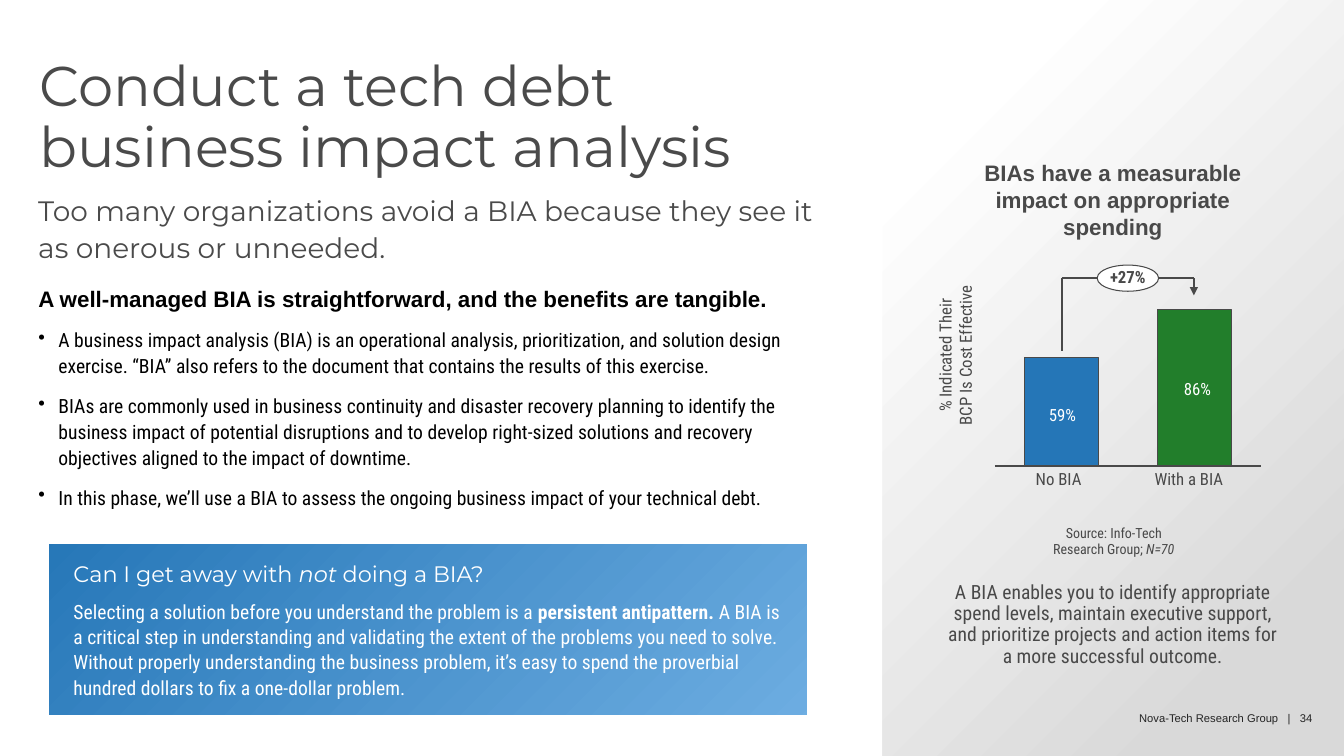
from dataclasses import dataclass

from lxml import etree
from pptx import Presentation
from pptx.chart.data import CategoryChartData
from pptx.dml.color import RGBColor
from pptx.enum import chart as ch, shapes, text
from pptx.oxml import parse_xml
from pptx.oxml.ns import nsdecls, qn
from pptx.util import Inches, Pt


@dataclass(frozen=True)
class Theme:
    heading: str = "Montserrat"
    body: str = "Roboto Condensed"
    strong: str = "Arial"
    chart: str = "Calibri"
    title_grey: str = "4A4A4A"
    grey: str = "494949"
    footer: str = "242424"
    black: str = "000000"
    white: str = "FFFFFF"
    panel_grey: str = "D9D9D9"
    blue: str = "2576B7"
    light_blue: str = "6EAEE2"
    green: str = "227E2B"
    title_size: int = 40
    subtitle_size: int = 20
    lead_size: int = 16
    body_size: int = 14
    label_size: int = 12
    source_size: int = 10
    footer_size: int = 8


T = Theme()
CENTER = text.PP_ALIGN.CENTER
MIDDLE = text.MSO_ANCHOR.MIDDLE
TEXT_INSETS = (0.1, 0.05, 0.1, 0.05)
NO_INSETS = (0, 0, 0, 0)

BULLETS = [
    "A business impact analysis (BIA) is an operational analysis, prioritization, and solution design "
    "exercise. “BIA” also refers to the document that contains the results of this exercise.",
    "BIAs are commonly used in business continuity and disaster recovery planning to identify the "
    "business impact of potential disruptions and to develop right-sized solutions and recovery "
    "objectives aligned to the impact of downtime.",
    "In this phase, we’ll use a BIA to assess the ongoing business impact of your technical debt.",
]


def rgb(color):
    return RGBColor.from_string(color)


def inches(*values):
    return [Inches(v) for v in values]


def set_frame(tf, insets, anchor=text.MSO_ANCHOR.TOP, wrap=True):
    tf.margin_left, tf.margin_top, tf.margin_right, tf.margin_bottom = inches(*insets)
    tf.auto_size = text.MSO_AUTO_SIZE.NONE
    tf.vertical_anchor = anchor
    tf.word_wrap = wrap


def format_paragraph(p, font, size, color, bold=False, align=text.PP_ALIGN.LEFT, spacing=None, before=0):
    p.alignment = align
    p.space_before = Pt(before)
    if spacing:
        p.line_spacing = spacing
    for r in p.runs:
        r.font.name, r.font.size, r.font.bold = font, Pt(size), bold
        r.font.color.rgb = rgb(color)


def add_runs(p, *pieces):
    runs = []
    for piece in pieces:
        r = p.add_run()
        r.text = piece
        runs.append(r)
    return runs


def add_bullet(p):
    pPr = p._p.get_or_add_pPr()
    pPr.set("marL", str(Inches(0.2)))
    pPr.set("indent", str(-Inches(0.2)))
    etree.SubElement(pPr, qn("a:buChar")).set("char", "•")


def add_text(s, box, content, font, size, color, insets=TEXT_INSETS,
             anchor=text.MSO_ANCHOR.TOP, wrap=True, **style):
    tf = s.shapes.add_textbox(*inches(*box)).text_frame
    set_frame(tf, insets, anchor, wrap)
    tf.text = content
    format_paragraph(tf.paragraphs[0], font, size, color, **style)
    return tf


def add_shape(s, kind, box):
    sp = s.shapes.add_shape(kind, *inches(*box))
    sp.shadow.inherit = False
    return sp


def fill_diagonal(sp, *stops):
    """Fill from top left to bottom right with two (position, colour) stops."""
    sp.fill.gradient()
    sp.fill.gradient_angle = 315
    for stop, (position, color) in zip(sp.fill.gradient_stops, stops):
        stop.position = position
        stop.color.rgb = rgb(color)


def set_line(line, color, width):
    line.color.rgb = rgb(color)
    line.width = Pt(width)


def add_line(s, start, end, arrow=False):
    line = s.shapes.add_connector(shapes.MSO_CONNECTOR.STRAIGHT, *inches(*start, *end))
    set_line(line.line, T.grey, 1)
    if arrow:
        etree.SubElement(line.line._get_or_add_ln(), qn("a:tailEnd")).set("type", "triangle")
    etree.SubElement(line._element.spPr, qn("a:effectLst"))


def add_title(s):
    title = s.shapes.title
    title.left, title.top, title.width, title.height = inches(0.39, 0.58, 8.11, 1.24)
    title.text_frame.text = "Conduct a tech debt business impact analysis"
    set_frame(title.text_frame, NO_INSETS)
    format_paragraph(title.text_frame.paragraphs[0], T.heading, T.title_size, T.title_grey, spacing=0.9)


def add_body(s):
    add_text(s, (0.38, 1.89, 7.73, 0.85),
             "Too many organizations avoid a BIA because they see it as onerous or unneeded.",
             T.heading, T.subtitle_size, T.title_grey, NO_INSETS, spacing=1.1)
    tf = add_text(s, (0.38, 2.8, 7.59, 2.39),
                  "A well-managed BIA is straightforward, and the benefits are tangible.",
                  T.strong, T.lead_size, T.black, NO_INSETS, bold=True, spacing=1.1)
    for bullet in BULLETS:
        p = tf.add_paragraph()
        p.text = bullet
        add_bullet(p)
        format_paragraph(p, T.body, T.body_size, T.black, spacing=1.1, before=10)


def add_callout(s):
    sp = add_shape(s, shapes.MSO_SHAPE.RECTANGLE, (0.38, 5.29, 7.73, 1.91))
    fill_diagonal(sp, (0, T.blue), (1, T.light_blue))
    set_line(sp.line, T.white, 14.75)
    tf = sp.text_frame
    set_frame(tf, (0.35,) * 4, MIDDLE)
    question = tf.paragraphs[0]
    runs = add_runs(question, "Can I get away with ", "not", " doing a BIA?")
    format_paragraph(question, T.heading, T.lead_size, T.white)
    runs[1].font.italic = True
    answer = tf.add_paragraph()
    runs = add_runs(
        answer, "Selecting a solution before you understand the problem is a ", "persistent antipattern.",
        " A BIA is a critical step in understanding and validating the extent of the problems you need to "
        "solve. Without properly understanding the business problem, it’s easy to spend the proverbial "
        "hundred dollars to fix a one-dollar problem.")
    format_paragraph(answer, T.body, T.body_size, T.white, spacing=Pt(18), before=8)
    runs[1].font.bold = True


def add_chart(s):
    data = CategoryChartData()
    data.categories = ["1", "2"]
    data.add_series("Series 1", (69, 100))
    chart = s.shapes.add_chart(ch.XL_CHART_TYPE.COLUMN_CLUSTERED, *inches(9.82, 3.02, 2.75, 1.67), data).chart
    chart.has_legend = chart.has_title = False
    chart.font.name, chart.font.size, chart.font.bold = T.chart, Pt(T.label_size), True
    chart.font.color.rgb = rgb(T.grey)
    for axis in (chart.category_axis, chart.value_axis):
        axis.tick_label_position = ch.XL_TICK_LABEL_POSITION.NONE
        axis.major_tick_mark = axis.minor_tick_mark = ch.XL_TICK_MARK.NONE
        axis.has_major_gridlines = False
    set_line(chart.category_axis.format.line, T.grey, 1)
    chart.value_axis.format.line.fill.background()
    chart.value_axis.minimum_scale, chart.value_axis.maximum_scale = 0, 100
    plot = chart.plots[0]
    plot.gap_width, plot.vary_by_categories = 80, False
    for i, color in enumerate((T.blue, T.green)):
        bar = plot.series[0].points[i].format
        bar.fill.solid()
        bar.fill.fore_color.rgb = rgb(color)
        set_line(bar.line, T.grey, 0.75)
    area = chart._chartSpace.chart.plotArea
    for layout in area.findall(qn("c:layout")):
        area.remove(layout)
    sizes = "".join(f'<c:{k} val="{v}"/>' for k, v in zip("xywh", (0.02, 0.03, 0.96, 0.93)))
    area.insert(0, parse_xml(
        f'<c:layout {nsdecls("c")}><c:manualLayout><c:layoutTarget val="inner"/>'
        f'<c:xMode val="edge"/><c:yMode val="edge"/>{sizes}</c:manualLayout></c:layout>'))


def add_growth_bracket(s):
    left, right, top = 10.54, 11.85, 2.76
    add_line(s, (right, top), (right, 2.93), arrow=True)
    add_line(s, (left, top), (right, top))
    add_line(s, (left, 3.48), (left, top))
    sp = add_shape(s, shapes.MSO_SHAPE.OVAL, (10.89, 2.63, 0.61, 0.26))
    sp.fill.solid()
    sp.fill.fore_color.rgb = rgb(T.white)
    set_line(sp.line, T.grey, 0.75)
    set_frame(sp.text_frame, NO_INSETS, MIDDLE, wrap=False)
    sp.text_frame.text = "+27%"
    format_paragraph(sp.text_frame.paragraphs[0], T.body, T.label_size, T.grey,
                     bold=True, align=CENTER, spacing=0.9)


def add_chart_labels(s):
    add_text(s, (9.34, 1.53, 3.41, 0.9), "BIAs have a measurable impact on appropriate spending",
             T.strong, T.lead_size, T.grey, bold=True, align=CENTER)
    axis_title = add_text(s, (9.23, 2.56, 0.61, 1.93), "% Indicated Their\vBCP Is Cost Effective",
                          T.body, T.label_size, T.grey, align=CENTER)
    axis_title._txBody.bodyPr.set("vert", "vert270")
    for label, box in (("59%", (10.39, 4.02, 0.38, 0.2)), ("86%", (11.73, 3.76, 0.38, 0.2))):
        add_text(s, box, label, T.body, T.label_size, T.white, (0.02, 0, 0.02, 0), MIDDLE, wrap=False)
    for label, box in (("No BIA", (10.28, 4.65, 0.54, 0.2)), ("With a BIA", (11.46, 4.65, 0.8, 0.2))):
        add_text(s, box, label, T.body, T.label_size, T.grey, NO_INSETS)
    source = add_text(s, (10.23, 5.15, 1.65, 0.48), "Source: Info-Tech Research Group; ",
                      T.body, T.source_size, T.grey, align=CENTER).paragraphs[0]
    sample, = add_runs(source, "N=70")
    format_paragraph(source, T.body, T.source_size, T.grey, align=CENTER)
    sample.font.italic = True


def add_panel(s):
    panel = add_shape(s, shapes.MSO_SHAPE.RECTANGLE, (8.76, 0, 4.58, 7.5))
    fill_diagonal(panel, (0.15, T.white), (0.85, T.panel_grey))
    panel.line.fill.background()
    footer = add_text(s, (9.63, 7.06, 3.4, 0.14), "Nova-Tech Research Group\u2003|\u200334".replace("\u2003", "   "),
                      T.strong, T.footer_size, T.footer, NO_INSETS, align=text.PP_ALIGN.RIGHT)
    footer.word_wrap = True
    add_chart_labels_after = (9.27, 5.73, 3.55, 0.89)
    add_text(s, add_chart_labels_after,
             "A BIA enables you to identify appropriate spend levels, maintain executive support, and "
             "prioritize projects and action items for a more successful outcome.",
             T.body, T.body_size, T.grey, align=CENTER, spacing=0.9)


def main():
    prs = Presentation()
    prs.slide_width, prs.slide_height = inches(13.34, 7.5)
    s = prs.slides.add_slide(prs.slide_layouts[5])
    add_panel(s)
    add_title(s)
    add_body(s)
    add_chart(s)
    add_growth_bracket(s)
    add_chart_labels(s)
    add_callout(s)
    prs.save("out.pptx")


if __name__ == "__main__":
    main()
